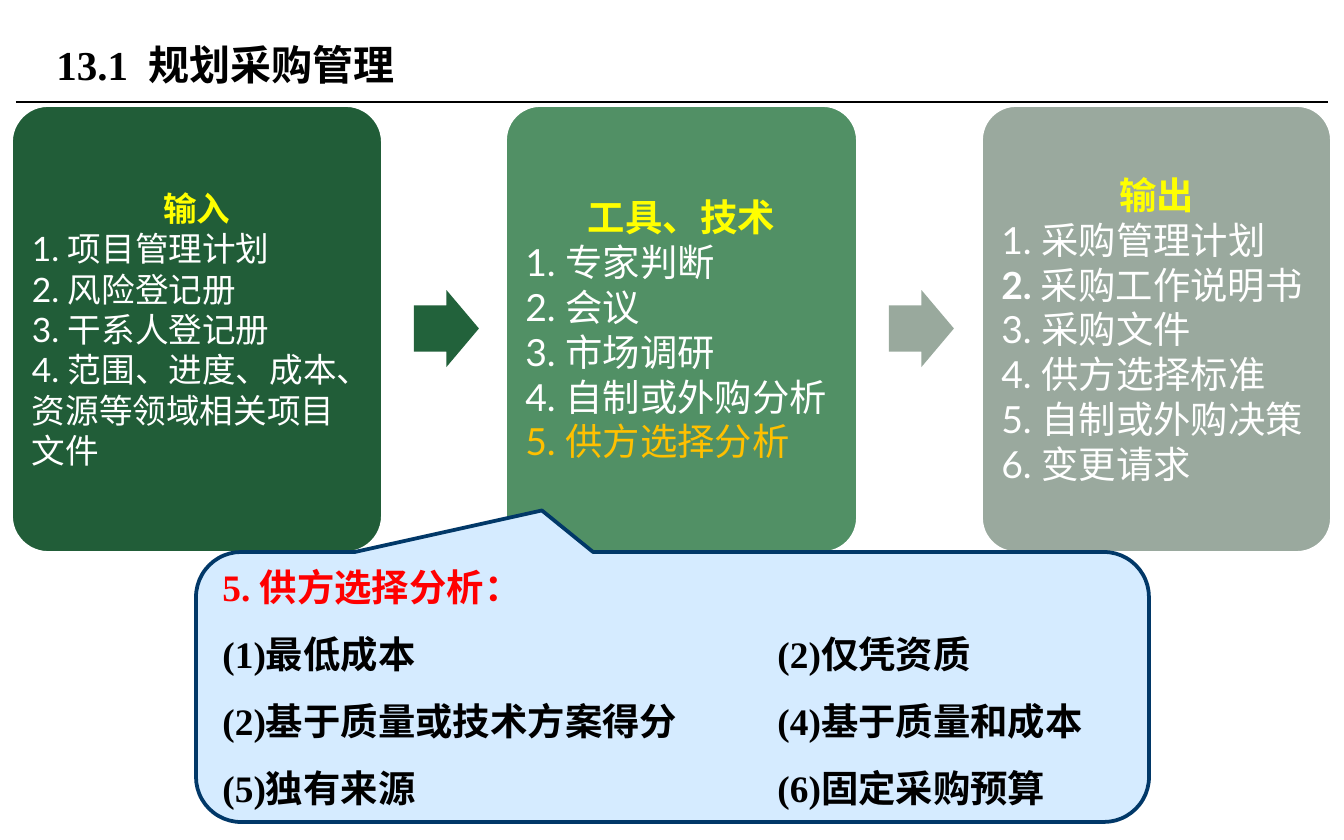
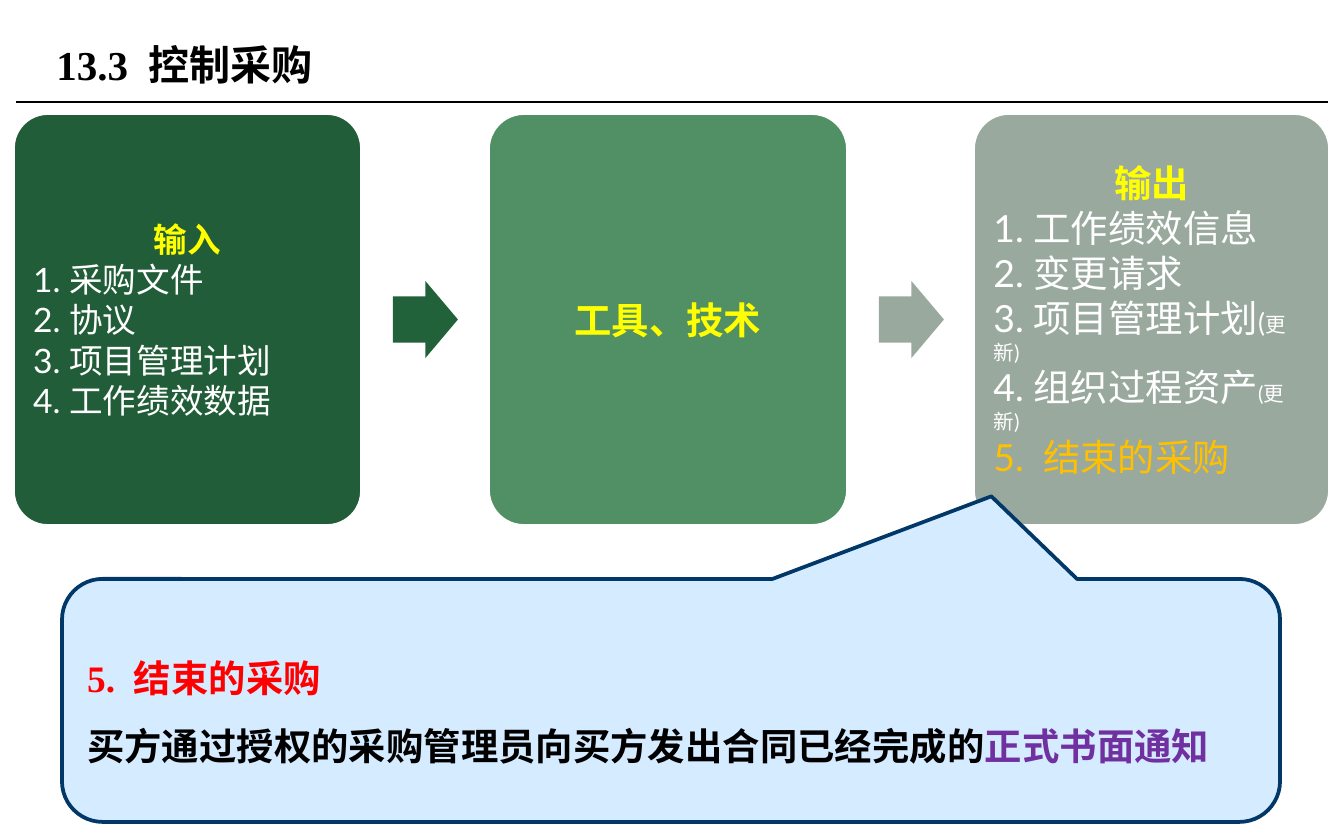
from pptx import Presentation
from pptx import util as u
from pptx.dml.color import RGBColor
from pptx.enum import lang, shapes, text
from pptx.oxml import parse_xml
from pptx.oxml.ns import nsdecls, qn

SCALE = 914400 / 134.4
COLORS = {
    "black": "000000", "white": "FFFFFF", "yellow": "FFFF00", "gold": "FFC000",
    "red": "FF0000", "purple": "7030A0",
    "input": "215D38", "tools": "519065", "output": "9AA99E",
    "to_tools": "22623B", "to_output": "99A99D",
    "callout": "D5EBFF", "callout_edge": "013868",
}
SANS, SERIF = "Lato", "Times New Roman"
LEFT, CENTER = text.PP_ALIGN.LEFT, text.PP_ALIGN.CENTER


def px(length):
    """Turn pixels into EMU."""
    return u.Emu(round(length * SCALE))


def rgb(name):
    """Look up a colour by its name."""
    return RGBColor.from_string(COLORS[name])


def write(paragraph, pieces, **base):
    """Fill a paragraph with strings or (string, format) pairs."""
    for piece in [pieces] if isinstance(pieces, str) else pieces:
        words, extra = (piece, {}) if isinstance(piece, str) else piece
        style = {"size": 20, "font": SANS, "color": "white", "bold": False,
                 **base, **extra}
        run = paragraph.add_run()
        run.text = words
        font = run.font
        font.name, font.bold = style["font"], style["bold"]
        font.size = u.Pt(style["size"])
        font.color.rgb = rgb(style["color"])
        font.language_id = lang.MSO_LANGUAGE_ID.SIMPLIFIED_CHINESE
        east_asian = parse_xml(f'<a:ea {nsdecls("a")} typeface="{SANS}"/>')
        font._element.find(qn("a:latin")).addnext(east_asian)


class Deck:
    """Holds the presentation style and the current slide."""

    def __init__(self):
        self.prs = Presentation()
        self.prs.slide_width, self.prs.slide_height = u.Inches(10), u.Inches(6.25)
        self.slide = None

    def start(self, heading):
        """Add a slide with its title and the rule below it."""
        self.slide = self.prs.slides.add_slide(self.prs.slide_layouts[5])
        title = self.slide.shapes.title
        title.left, title.top, title.width, title.height = map(px, (43, 17, 857, 95))
        frame = title.text_frame
        frame.auto_size = text.MSO_AUTO_SIZE.NONE
        frame.vertical_anchor = text.MSO_ANCHOR.MIDDLE
        frame.paragraphs[0].alignment = LEFT
        write(frame.paragraphs[0], heading,
              size=22, font=SERIF, color="black", bold=True)
        rule = self.slide.shapes.add_connector(
            shapes.MSO_CONNECTOR.STRAIGHT, px(16), px(102), px(1328), px(102))
        rule.line.color.rgb, rule.line.width = rgb("black"), u.Pt(0.75)
        rule._element.spPr.append(parse_xml(f'<a:effectLst {nsdecls("a")}/>'))

    def shape(self, kind, box, fill, adjust, edge=None):
        """Add a flat preset shape, outlined if an edge colour is given."""
        item = self.slide.shapes.add_shape(kind, *map(px, box))
        item.shadow.inherit = False
        for index, value in enumerate(adjust):
            item.adjustments[index] = value
        item.fill.solid()
        item.fill.fore_color.rgb = rgb(fill)
        if edge:
            item.line.color.rgb, item.line.width = rgb(edge), u.Pt(2)
        else:
            item.line.fill.background()
        return item

    def fill_text(self, item, lines, **base):
        """Write lines, the first a heading, into a shape; return paragraphs."""
        frame = item.text_frame
        frame.word_wrap = True
        frame.vertical_anchor = text.MSO_ANCHOR.MIDDLE
        for line in lines:
            new = line is not lines[0]
            paragraph = frame.add_paragraph() if new else frame.paragraphs[0]
            paragraph.alignment = LEFT
            write(paragraph, line, **base)
        return frame.paragraphs

    def card(self, box, fill, heading, items, size=20):
        """Add a rounded card with a centred heading and a list."""
        item = self.shape(shapes.MSO_SHAPE.ROUNDED_RECTANGLE, box, fill, [0.1], "white")
        frame = item.text_frame
        frame.margin_left = frame.margin_right = px(10)
        frame.margin_top = frame.margin_bottom = px(10)
        head = [(heading, {"color": "yellow", "bold": True})]
        self.fill_text(item, [head, *items], size=size)[0].alignment = CENTER

    def arrow(self, card_box, fill):
        """Add an arrow to the right of a card, at mid height."""
        left, top, width, height = card_box
        self.shape(shapes.MSO_SHAPE.RIGHT_ARROW,
                   (left + width + 31, top + (height - 77) // 2, 65, 77),
                   fill, [0.6, 0.5])

    def process(self, top, height, columns, inputs, tools, outputs):
        """Add the cards for input, tools and output with arrows between."""
        boxes = [(left, top, width, height) for left, width in columns]
        self.card(boxes[0], "input", "输入", inputs, size=18)
        self.arrow(boxes[0], "to_tools")
        self.card(boxes[1], "tools", "工具、技术", tools)
        self.arrow(boxes[1], "to_output")
        self.card(boxes[2], "output", "输出", outputs)

    def callout(self, box, tip, heading, lines, after=0, spacing=1.0, tab=None):
        """Add a callout whose tip points at the item it explains."""
        item = self.shape(shapes.MSO_SHAPE.ROUNDED_RECTANGULAR_CALLOUT, box,
                          "callout", [*tip, 0.167], "callout_edge")
        head = [(heading, {"color": "red"})]
        for paragraph in self.fill_text(item, [head, *lines],
                                        font=SERIF, color="black", bold=True):
            paragraph.space_after, paragraph.line_spacing = u.Pt(after), spacing
            if tab:
                paragraph._p.get_or_add_pPr().append(parse_xml(
                    f'<a:tabLst {nsdecls("a")}><a:tab pos="{px(tab)}" algn="l"/>'
                    '</a:tabLst>'))


def planning(deck):
    """Build the slide on planning procurement."""
    deck.start("13.1  规划采购管理")
    deck.process(
        105, 448, [(11, 372), (505, 353), (981, 351)],
        inputs=["1. 项目管理计划", "2. 风险登记册", "3. 干系人登记册",
                "4. 范围、进度、成本、资源等领域相关项目文件"],
        tools=["1. 专家判断", ["2. ", ("会议", {"font": SERIF})], "3. 市场调研",
               "4. 自制或外购分析", [("5. 供方选择分析", {"color": "gold"})]],
        outputs=["1. 采购管理计划", [("2. ", {"bold": True}), "采购工作说明书"],
                 "3. 采购文件", "4. 供方选择标准", "5. 自制或外购决策",
                 "6. 变更请求"])
    deck.callout(
        (196, 552, 953, 270), (-0.137, -0.654), "5. 供方选择分析：",
        ["(1)最低成本\t(2)仅凭资质",
         "(2)基于质量或技术方案得分\t(4)基于质量和成本",
         "(5)独有来源\t(6)固定采购预算"],
        after=12, tab=555)


def control(deck):
    """Build the slide on controlling procurement."""
    deck.start("13.3  控制采购")
    deck.process(
        113, 413, [(13, 349), (488, 360), (973, 357)],
        inputs=["1. 采购文件", "2. 协议", "3. 项目管理计划", "4. 工作绩效数据"],
        tools=[],
        outputs=["1. 工作绩效信息", "2. 变更请求",
                 ["3. 项目管理计划", ("(", {"size": 14}), ("更新)", {"size": 11})],
                 ["4. 组织过程资产", ("(更新)", {"size": 11})],
                 [("5.  结束的采购", {"color": "gold"})]])
    deck.callout(
        (62, 579, 1218, 243), (0.263, -0.84), "5.  结束的采购",
        [["买方通过授权的采购管理员向买方发出合同已经完成的",
          ("正式书面通知", {"color": "purple"})]],
        spacing=1.5)


deck = Deck()
planning(deck)
control(deck)
deck.prs.save("out.pptx")
